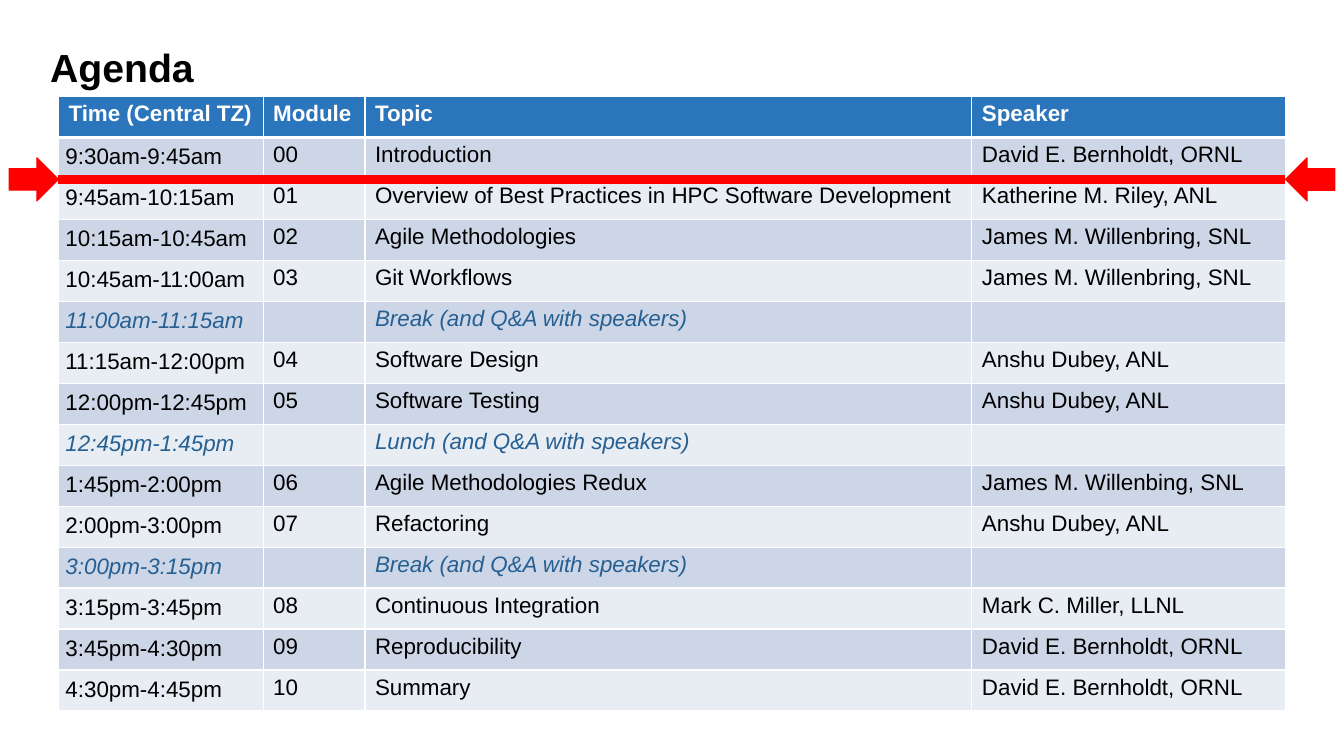
import pptx
import pptx.util
import pptx.dml.color
import pptx.enum.shapes
import pptx.enum.text
import pptx.oxml
from lxml import etree
from pptx.util import Inches

RGBColor = pptx.dml.color.RGBColor
BLACK = RGBColor(0x00, 0x00, 0x00)
WHITE = RGBColor(0xFF, 0xFF, 0xFF)
RED = RGBColor(0xFF, 0x00, 0x00)
HEADER_BLUE = RGBColor(0x2A, 0x75, 0xBB)
BREAK_BLUE = RGBColor(0x26, 0x60, 0x93)
DARK_BAND = RGBColor(0xCD, 0xD6, 0xE7)
LIGHT_BAND = RGBColor(0xE8, 0xEC, 0xF3)
DRAWING = "http://schemas.openxmlformats.org/drawingml/2006/main"

COLUMN_WIDTHS = [2.03, 1.01, 6.02, 3.11]
ROW_HEIGHT = 0.405
TABLE_LEFT, TABLE_TOP = 0.58, 0.96
TABLE_RIGHT = TABLE_LEFT + sum(COLUMN_WIDTHS)
MARKER_Y = 1.78
ARROW_WIDTH, ARROW_HEIGHT = 0.49, 0.43

AGENDA = [
    ("Time (Central TZ)", "Module", "Topic", "Speaker"),
    ("9:30am-9:45am", "00", "Introduction", "David E. Bernholdt, ORNL"),
    ("9:45am-10:15am", "01", "Overview of Best Practices in HPC Software Development", "Katherine M. Riley, ANL"),
    ("10:15am-10:45am", "02", "Agile Methodologies", "James M. Willenbring, SNL"),
    ("10:45am-11:00am", "03", "Git Workflows", "James M. Willenbring, SNL"),
    ("11:00am-11:15am", "", "Break (and Q&A with speakers)", ""),
    ("11:15am-12:00pm", "04", "Software Design", "Anshu Dubey, ANL"),
    ("12:00pm-12:45pm", "05", "Software Testing", "Anshu Dubey, ANL"),
    ("12:45pm-1:45pm", "", "Lunch (and Q&A with speakers)", ""),
    ("1:45pm-2:00pm", "06", "Agile Methodologies Redux", "James M. Willenbing, SNL"),
    ("2:00pm-3:00pm", "07", "Refactoring", "Anshu Dubey, ANL"),
    ("3:00pm-3:15pm", "", "Break (and Q&A with speakers)", ""),
    ("3:15pm-3:45pm", "08", "Continuous Integration", "Mark C. Miller, LLNL"),
    ("3:45pm-4:30pm", "09", "Reproducibility", "David E. Bernholdt, ORNL"),
    ("4:30pm-4:45pm", "10", "Summary", "David E. Bernholdt, ORNL"),
]


class SlideBuilder:
    font_name = "Arial"

    def __init__(self, slide):
        self.slide = slide

    def add_span(self, para, text, size, color, bold=False, italic=False):
        span = para.add_run()
        span.text = text
        span.font.name = self.font_name
        span.font.size = pptx.util.Pt(size)
        span.font.color.rgb = color
        span.font.bold = bold
        span.font.italic = italic

    def add_title(self, text, left, top, width, height):
        box = self.slide.shapes.add_textbox(Inches(left), Inches(top), Inches(width), Inches(height))
        box.text_frame.word_wrap = True
        box.text_frame.vertical_anchor = pptx.enum.text.MSO_ANCHOR.TOP
        para = box.text_frame.paragraphs[0]
        para.line_spacing = 0.85
        self.add_span(para, text, 28, BLACK, bold=True)

    def add_border(self, cell, side, points):
        line = etree.SubElement(cell._tc.get_or_add_tcPr(), f"{{{DRAWING}}}ln{side}", w=str(pptx.util.Pt(points)))
        fill = etree.SubElement(line, f"{{{DRAWING}}}solidFill")
        etree.SubElement(fill, f"{{{DRAWING}}}srgbClr", val=str(WHITE))

    def style_cell(self, cell, row, column):
        if row > 0 and column == 0:
            cell.margin_left = cell.margin_right = Inches(0.07)
            cell.margin_top = cell.margin_bottom = Inches(0.07)
        for side in "LRTB":
            under_header = (row, side) in [(0, "B"), (1, "T")]
            self.add_border(cell, side, 3 if under_header else 1)
        cell.fill.solid()
        band = DARK_BAND if row % 2 else LIGHT_BAND
        cell.fill.fore_color.rgb = HEADER_BLUE if row == 0 else band

    def add_agenda(self, rows, left, top):
        frame = self.slide.shapes.add_table(
            len(rows), len(COLUMN_WIDTHS), Inches(left), Inches(top),
            Inches(sum(COLUMN_WIDTHS)), Inches(ROW_HEIGHT * len(rows)))
        table = frame.table
        table.horz_banding = False
        for column, width in zip(table.columns, COLUMN_WIDTHS):
            column.width = Inches(width)
        for row, texts in enumerate(rows):
            table.rows[row].height = Inches(ROW_HEIGHT)
            header, pause = row == 0, not texts[1]
            color = WHITE if header else BREAK_BLUE if pause else BLACK
            for column, text in enumerate(texts):
                cell = table.cell(row, column)
                self.style_cell(cell, row, column)
                para = cell.text_frame.paragraphs[0]
                if text:
                    self.add_span(para, text, 16, color, bold=header, italic=pause)
                else:
                    para.font.size = pptx.util.Pt(16)

    def add_group(self):
        return self.slide.shapes.add_group_shape()

    def add_line(self, group, left, right, y):
        line = group.shapes.add_connector(
            pptx.enum.shapes.MSO_CONNECTOR.STRAIGHT, Inches(left), Inches(y), Inches(right), Inches(y))
        line.line.color.rgb = RED
        line.line.width = pptx.util.Pt(6)
        etree.SubElement(line._element.spPr, f"{{{DRAWING}}}effectLst")

    def add_arrow(self, group, left, middle, rotation):
        arrow = group.shapes.add_shape(
            pptx.enum.shapes.MSO_SHAPE.RIGHT_ARROW, Inches(left), Inches(middle - ARROW_HEIGHT / 2),
            Inches(ARROW_WIDTH), Inches(ARROW_HEIGHT))
        arrow.rotation = rotation
        arrow.shadow.inherit = False
        arrow.fill.solid()
        arrow.fill.fore_color.rgb = RED
        arrow.line.color.rgb = RED
        arrow.line.width = pptx.util.Pt(0.75)


def main():
    deck = pptx.Presentation()
    deck.slide_width = Inches(13.33)
    deck.slide_height = Inches(7.5)
    page = SlideBuilder(deck.slides.add_slide(deck.slide_layouts[6]))
    page.add_title("Agenda", 0.4, 0.45, 12.44, 1)
    page.add_agenda(AGENDA, TABLE_LEFT, TABLE_TOP)
    marker = page.add_group()
    page.add_line(marker, TABLE_LEFT, TABLE_RIGHT, MARKER_Y)
    page.add_arrow(marker, TABLE_LEFT - ARROW_WIDTH, MARKER_Y, 0)
    page.add_arrow(marker, TABLE_RIGHT, MARKER_Y, 180)
    deck.save("out.pptx")


if __name__ == "__main__":
    main()
